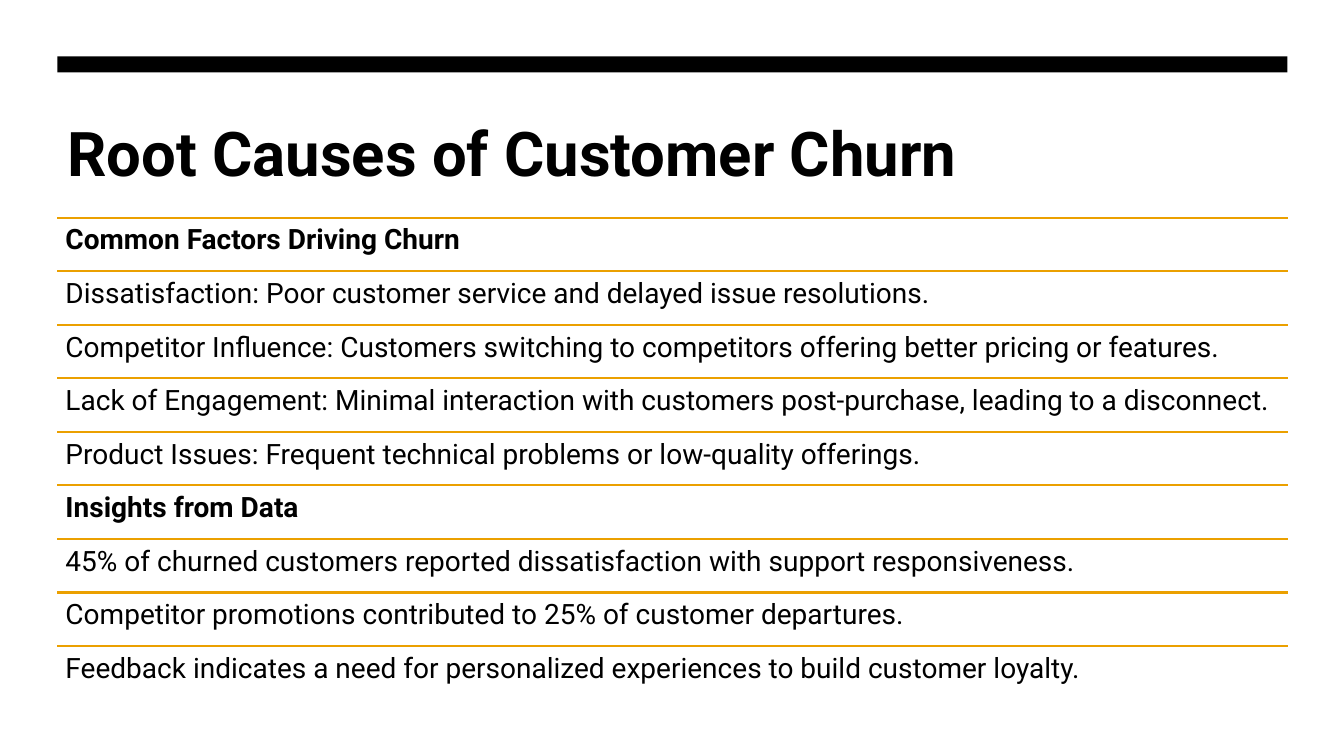
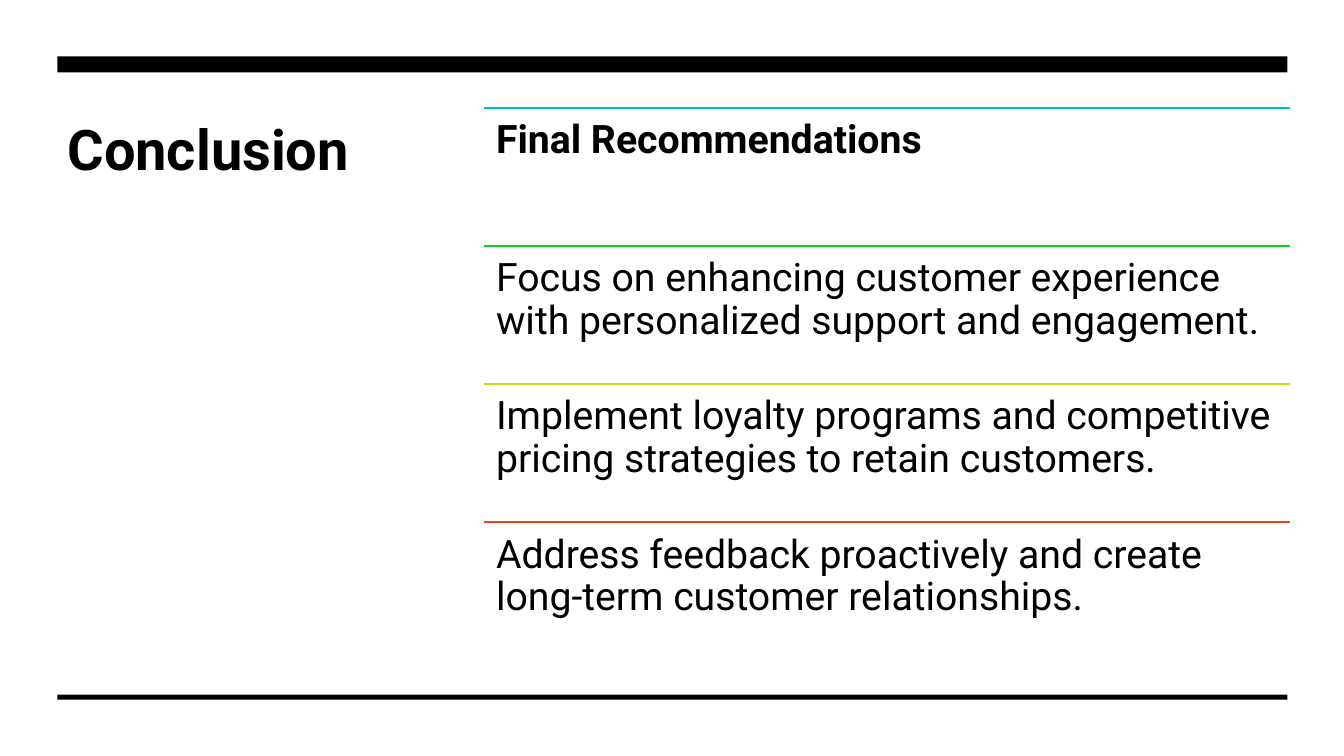
from dataclasses import dataclass

from lxml import etree
from pptx import Presentation
from pptx.dml.color import RGBColor
from pptx.enum import shapes, text
from pptx.oxml import ns
from pptx.util import Inches, Pt


@dataclass(frozen=True)
class Theme:
    font: str = "Roboto"
    ink: str = "000000"
    gold: str = "EBA000"
    teal: str = "00BAC8"
    green: str = "08D61E"
    lime: str = "C3E311"
    red: str = "E64823"
    rule: float = 1.5
    left: float = 0.57
    wide: float = 12.2
    top: float = 1.07


theme = Theme()


def write(slide, words, box, size, bold, pad, space=1.0):
    """Add a top-left text box; pad holds the side and top insets."""
    frame = slide.shapes.add_textbox(*map(Inches, box)).text_frame
    frame.word_wrap = True
    frame.vertical_anchor = text.MSO_ANCHOR.TOP
    frame.margin_left = frame.margin_right = Inches(pad[0])
    frame.margin_top = frame.margin_bottom = Inches(pad[1])
    para = frame.paragraphs[0]
    para.text = words
    para.line_spacing = space
    para.font.name = theme.font
    para.font.size = Pt(size)
    para.font.bold = bold
    para.font.color.rgb = RGBColor.from_string(theme.ink)


deck = Presentation()
deck.slide_width, deck.slide_height = Inches(13.33), Inches(7.5)

top_bar = (0.56, 0.16)
foot_bar = (6.89, 0.05)

# Each row: words, bold, rule colour
causes = [
    ("Common Factors Driving Churn", True, theme.gold),
    ("Dissatisfaction: Poor customer service and delayed issue resolutions.", False, theme.gold),
    ("Competitor Influence: Customers switching to competitors offering better pricing or features.",
     False, theme.gold),
    ("Lack of Engagement: Minimal interaction with customers post-purchase, leading to a disconnect.",
     False, theme.gold),
    ("Product Issues: Frequent technical problems or low-quality offerings.", False, theme.gold),
    ("Insights from Data", True, theme.gold),
    ("45% of churned customers reported dissatisfaction with support responsiveness.", False, theme.gold),
    ("Competitor promotions contributed to 25% of customer departures.", False, theme.gold),
    ("Feedback indicates a need for personalized experiences to build customer loyalty.",
     False, theme.gold),
]
advice = [
    ("Final Recommendations", True, theme.teal),
    ("Focus on enhancing customer experience with personalized support and engagement.",
     False, theme.green),
    ("Implement loyalty programs and competitive pricing strategies to retain customers.",
     False, theme.lime),
    ("Address feedback proactively and create long-term customer relationships.", False, theme.red),
]

# Title, its size, width and height; bars; rows, their box, type size and inset
pages = [
    ("Root Causes of Customer Churn", 44, theme.wide, 0.9, [top_bar],
     causes, (theme.left, 2.16, theme.wide, 4.78), 20, 0.08),
    ("Conclusion", 40, 3.45, 4.45, [top_bar, foot_bar],
     advice, (4.8, theme.top, 7.99, 5.48), 28, 0.12),
]

for title, big, wide, high, bars, rows, area, size, pad in pages:
    slide = deck.slides.add_slide(deck.slide_layouts[6])
    for top, thick in bars:
        bar = slide.shapes.add_shape(
            shapes.MSO_SHAPE.RECTANGLE,
            Inches(theme.left), Inches(top), Inches(theme.wide), Inches(thick))
        bar.shadow.inherit = False
        bar.fill.solid()
        bar.fill.fore_color.rgb = RGBColor.from_string(theme.ink)
        bar.line.fill.background()
    write(slide, title, (theme.left, theme.top, wide, high), big, True, (0.1, 0.07))

    left, start, width, total = area
    step = total / len(rows)
    for i, (words, bold, color) in enumerate(rows):
        top = start + i * step
        rule = slide.shapes.add_connector(
            shapes.MSO_CONNECTOR.STRAIGHT,
            Inches(left), Inches(top), Inches(left + width), Inches(top))
        rule.line.color.rgb = RGBColor.from_string(color)
        rule.line.width = Pt(theme.rule)
        etree.SubElement(rule._element.spPr, ns.qn("a:effectLst"))
        write(slide, words, (left, top, width, step), size, bold, (pad, pad), 0.9)

deck.save("out.pptx")
